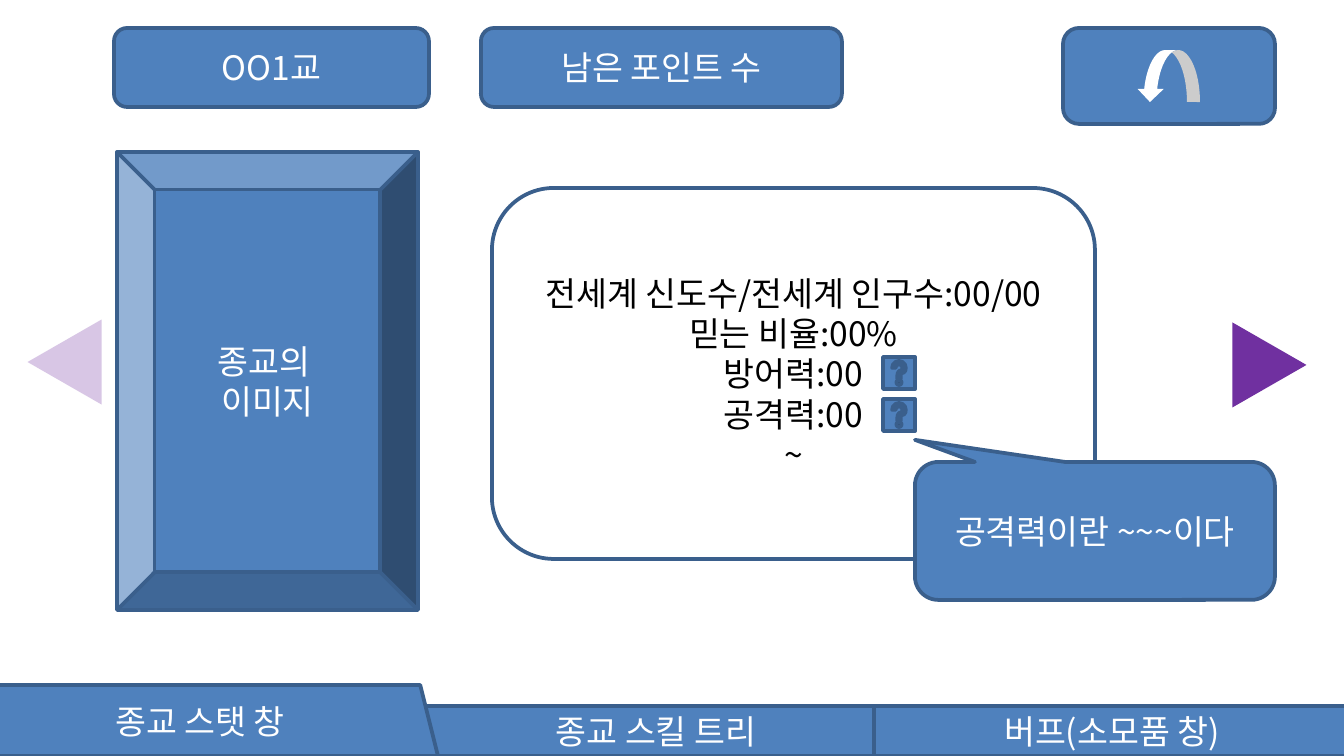
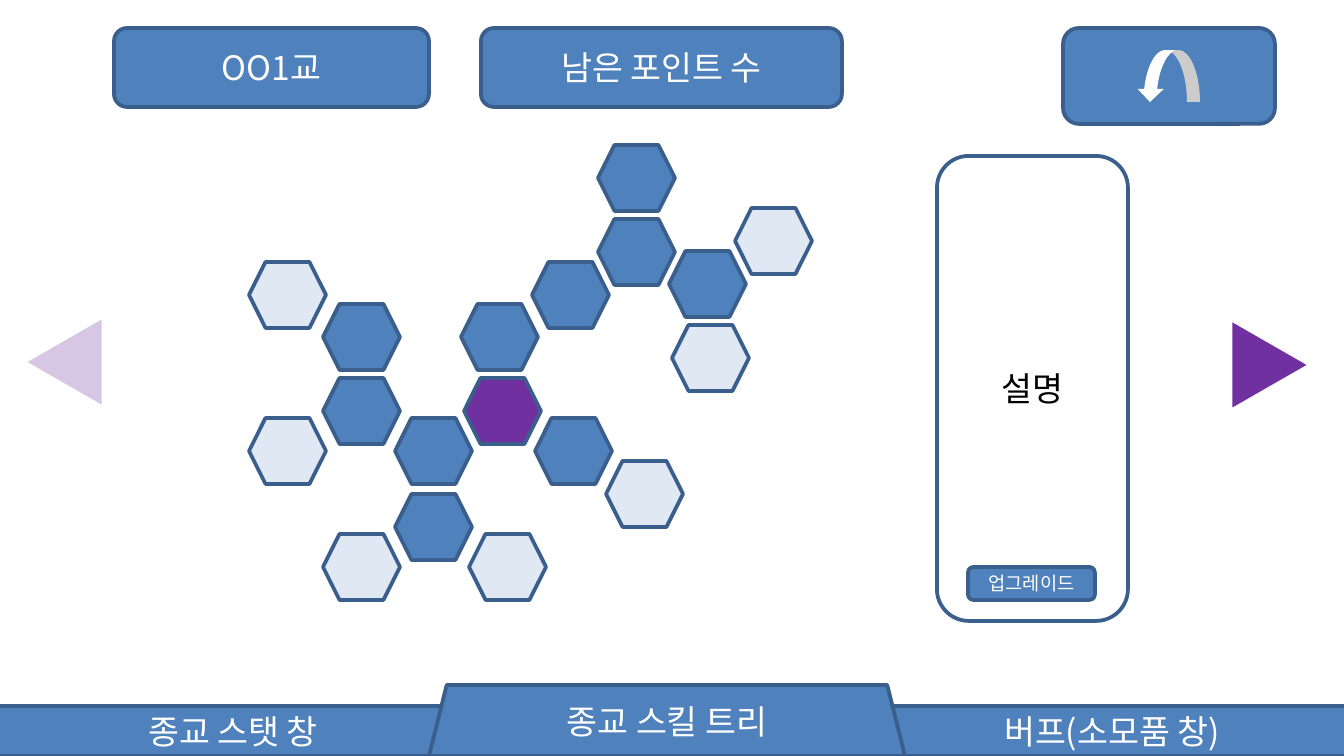
import lxml.etree
import pptx
import pptx.util
import pptx.dml.color
import pptx.enum.shapes
import pptx.enum.text
import pptx.oxml.ns

RGBColor = pptx.dml.color.RGBColor
SHAPE = pptx.enum.shapes.MSO_SHAPE

BLUE = RGBColor(0x4F, 0x81, 0xBD)
EDGE = RGBColor(0x3A, 0x5F, 0x8C)
PURPLE = RGBColor(0x70, 0x30, 0xA0)
WHITE = RGBColor(0xFF, 0xFF, 0xFF)
BLACK = RGBColor(0, 0, 0)
FONT = "Noto Sans CJK KR"
PX_PER_INCH = 134.4

TABS = [("종교 스탯 창", -5, -38), ("종교 스킬 트리", 418, 429), ("버프(소모품 창)", 874, 874)]
TAB_WIDTH, TAB_HEIGHT, ACTIVE_HEIGHT = 476, 50, 71
SLIDE_WIDTH, SLIDE_HEIGHT = 1344, 756

HEADER = [("OO1교", (114, 28, 315, 79)), ("남은 포인트 수", (481, 28, 361, 79)),
          ("", (1063, 28, 212, 96))]
RETURN_ARROW = (1137, 50, 63, 52)
PREVIOUS = (22, 325, 85, 74)
NEXT = (1227, 328, 85, 74)
PREVIOUS_VEIL = (-16, 293, 126, 137)

STATS = ["전세계 신도수/전세계 인구수:00/00", "믿는 비율:00%", "방어력:00", "공격력:00", "~"]
HELP_LEFT, HELP_TOPS, HELP_SIZE = 883, (357, 399), 32

HEXAGON_SIZE = (77, 66)
CURRENT_SKILL = [(464, 378)]
LEARNED_SKILLS = [(395, 418), (535, 418), (461, 304), (532, 262), (598, 219), (669, 251),
                  (598, 145), (395, 494), (323, 378), (323, 304)]
LOCKED_SKILLS = [(249, 418), (249, 262), (672, 325), (735, 208), (323, 534), (469, 534),
                 (606, 461)]
SKILLS = [(CURRENT_SKILL, PURPLE, 100), (LEARNED_SKILLS, BLUE, 100), (LOCKED_SKILLS, BLUE, 18)]


def px(length):
    return pptx.util.Emu(round(length * 914400 / PX_PER_INCH))


def add_element(parent, tag, name, value):
    child = lxml.etree.SubElement(parent, pptx.oxml.ns.qn(tag))
    child.set(name, value)


def write(box, lines, size, color):
    frame = box.text_frame
    frame.word_wrap = True
    frame.vertical_anchor = pptx.enum.text.MSO_ANCHOR.MIDDLE
    for index, line in enumerate(lines):
        para = frame.paragraphs[0] if index == 0 else frame.add_paragraph()
        para.text = line
        para.alignment = pptx.enum.text.PP_ALIGN.CENTER
        para.font.size = pptx.util.Pt(size)
        para.font.color.rgb = color
        para.font.name = FONT
        defaults = para._p.pPr.find(pptx.oxml.ns.qn("a:defRPr"))
        add_element(defaults, "a:ea", "typeface", FONT)


def draw(page, kind, area, lines=(), fill=BLUE, edge=EDGE, size=18, color=WHITE, opacity=100):
    box = page.shapes.add_shape(kind, *map(px, area))
    box.shadow.inherit = False
    if fill is None:
        box.fill.background()
    else:
        box.fill.solid()
        box.fill.fore_color.rgb = fill
    if opacity < 100:
        tint = box.element.spPr.find(".//" + pptx.oxml.ns.qn("a:srgbClr"))
        add_element(tint, "a:alpha", "val", str(opacity * 1000))
    if edge is None:
        box.line.fill.background()
    else:
        box.line.color.rgb = edge
        box.line.width = pptx.util.Pt(2)
    write(box, lines, size, color)
    return box


def add_page(deck, active):
    page = deck.slides.add_slide(deck.slide_layouts[6])
    for index, (label, left, _) in enumerate(TABS):
        if index != active:
            area = (left, SLIDE_HEIGHT - TAB_HEIGHT, TAB_WIDTH, TAB_HEIGHT)
            draw(page, SHAPE.RECTANGLE, area, [label])
    label, _, left = TABS[active]
    area = (left, SLIDE_HEIGHT - ACTIVE_HEIGHT, TAB_WIDTH, ACTIVE_HEIGHT)
    draw(page, SHAPE.TRAPEZOID, area, [label])
    for label, area in HEADER:
        draw(page, SHAPE.ROUNDED_RECTANGLE, area, [label] if label else [])
    arrow = draw(page, SHAPE.CURVED_DOWN_ARROW, RETURN_ARROW, fill=WHITE, edge=None)
    arrow.element.spPr.get_or_add_xfrm().set("flipH", "1")
    for area, angle in ((PREVIOUS, 270), (NEXT, 90)):
        triangle = draw(page, SHAPE.ISOSCELES_TRIANGLE, area, fill=PURPLE, edge=None)
        triangle.rotation = angle
    draw(page, SHAPE.RECTANGLE, PREVIOUS_VEIL, fill=WHITE, edge=None, opacity=73)
    return page


def add_stats_page(deck):
    page = add_page(deck, 0)
    draw(page, SHAPE.BEVEL, (117, 152, 301, 458), ["종교의 ", "이미지"])
    draw(page, SHAPE.ROUNDED_RECTANGLE, (492, 188, 603, 371), STATS, fill=None, color=BLACK)
    for top in HELP_TOPS:
        draw(page, SHAPE.ACTION_BUTTON_HELP, (HELP_LEFT, top, HELP_SIZE, HELP_SIZE))
    callout = draw(page, SHAPE.ROUNDED_RECTANGULAR_CALLOUT, (915, 462, 360, 138),
                   ["공격력이란 ~~~이다"])
    for index, value in enumerate((-0.5, -0.66, 0.17)):
        callout.adjustments[index] = value


def add_skills_page(deck):
    page = add_page(deck, 1)
    for places, fill, opacity in SKILLS:
        for place in places:
            draw(page, SHAPE.HEXAGON, place + HEXAGON_SIZE, fill=fill, opacity=opacity)
    draw(page, SHAPE.ROUNDED_RECTANGLE, (937, 156, 191, 465), ["설명"], fill=None, color=BLACK)
    draw(page, SHAPE.ROUNDED_RECTANGLE, (968, 567, 127, 33), ["업그레이드"], size=10)


def main():
    deck = pptx.Presentation()
    deck.slide_width = px(SLIDE_WIDTH)
    deck.slide_height = px(SLIDE_HEIGHT)
    add_stats_page(deck)
    add_skills_page(deck)
    deck.save("out.pptx")


if __name__ == "__main__":
    main()
